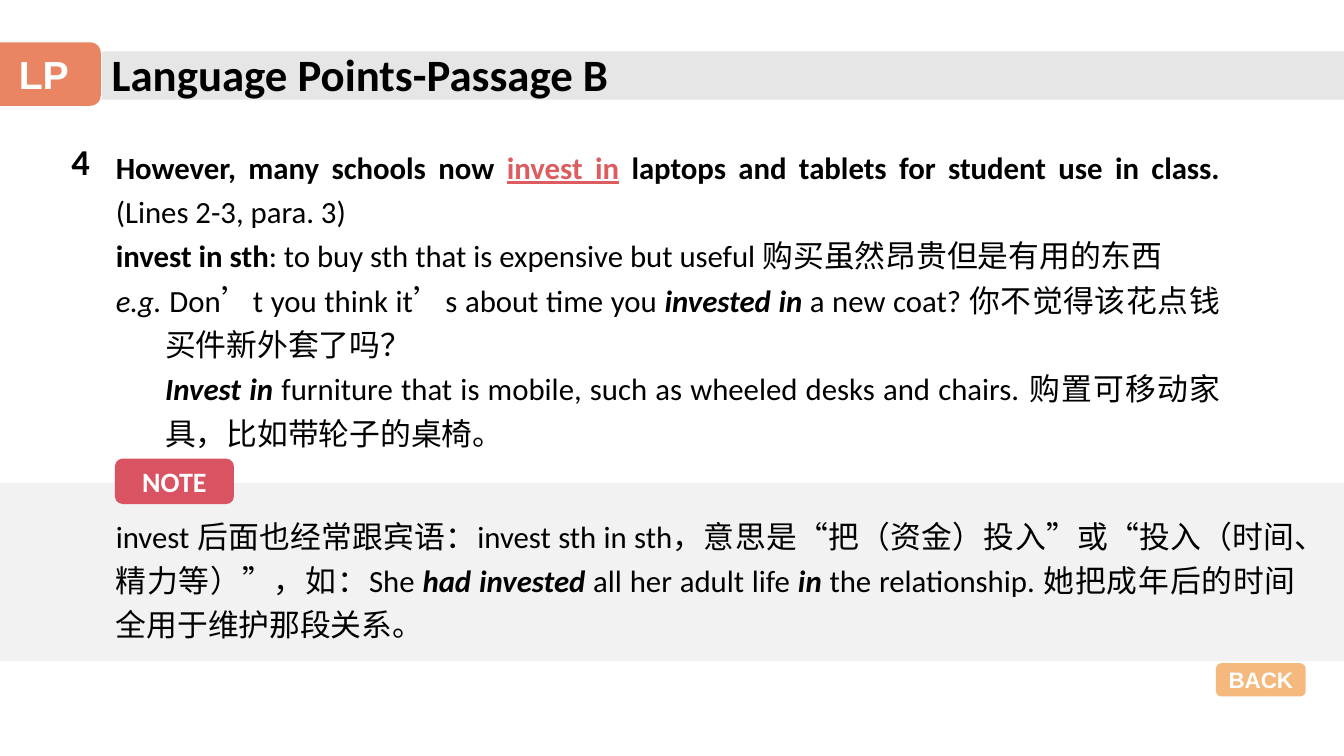
import pptx
import pptx.dml.color
import pptx.enum.shapes
import pptx.enum.text
import pptx.oxml
import pptx.oxml.ns
import pptx.util
from pptx.util import Inches

CJK_FONT = "Noto Sans CJK SC"
ALIGN = pptx.enum.text.PP_ALIGN
SHAPE = pptx.enum.shapes.MSO_SHAPE


def color(hex_string):
    return pptx.dml.color.RGBColor.from_string(hex_string)


def format_run(run, size, hex_string="000000", style="", font="Calibri"):
    run.font.name = font
    run.font.size = pptx.util.Pt(size)
    run.font.bold = "b" in style
    run.font.italic = "i" in style
    run.font.underline = "u" in style
    run.font.color.rgb = color(hex_string)
    east_asian = pptx.oxml.parse_xml(
        f'<a:ea {pptx.oxml.ns.nsdecls("a")} typeface="{CJK_FONT}"/>')
    run.font._element.find(pptx.oxml.ns.qn("a:latin")).addnext(east_asian)


presentation = pptx.Presentation()
presentation.slide_width = Inches(13.33)
presentation.slide_height = Inches(7.5)
slide = presentation.slides.add_slide(presentation.slide_layouts[6])

# Bands and labels: left, top, width, height, preset, fill, opacity, text, size, font
bands_and_labels = [
    (1.01, 0.51, 12.33, 0.48, SHAPE.RECTANGLE, "E7E6E6", 100, "", 0, ""),
    (-0.13, 0.42, 1.13, 0.63, SHAPE.ROUNDED_RECTANGLE, "E98562", 100, "LP", 28, "Arial"),
    (0, 4.79, 13.33, 1.77, SHAPE.RECTANGLE, "F2F2F2", 100, "", 0, ""),
    (1.14, 4.55, 1.18, 0.45, SHAPE.ROUNDED_RECTANGLE, "DA5362", 100, "NOTE", 20, "Calibri"),
    (12.06, 6.58, 0.89, 0.33, SHAPE.ROUNDED_RECTANGLE, "F19B48", 71, "BACK", 16, "Arial"),
]
for left, top, width, height, preset, fill, opacity, label, size, font in bands_and_labels:
    shape = slide.shapes.add_shape(
        preset, Inches(left), Inches(top), Inches(width), Inches(height))
    shape.shadow.inherit = False
    shape.line.fill.background()
    shape.fill.solid()
    shape.fill.fore_color.rgb = color(fill)
    if opacity < 100:
        alpha = pptx.oxml.parse_xml(
            f'<a:alpha {pptx.oxml.ns.nsdecls("a")} val="{opacity * 1000}"/>')
        shape._element.spPr.find(".//" + pptx.oxml.ns.qn("a:srgbClr")).append(alpha)
    if label:
        shape.text_frame.text = label
        shape.text_frame.vertical_anchor = pptx.enum.text.MSO_ANCHOR.MIDDLE
        paragraph = shape.text_frame.paragraphs[0]
        paragraph.alignment = ALIGN.CENTER
        format_run(paragraph.runs[0], size, "FFFFFF", "b", font)

# Title and item number
for left, top, width, height, text, size in [
    (1.01, 0.41, 5.27, 0.64, "Language Points-Passage B", 32),
    (0.61, 1.33, 0.63, 0.54, "4", 26),
]:
    box = slide.shapes.add_textbox(Inches(left), Inches(top), Inches(width), Inches(height))
    box.text_frame.word_wrap = True
    box.text_frame.text = text
    format_run(box.text_frame.paragraphs[0].runs[0], size, style="b")

# Explanation and note: paragraphs as (left margin, first-line indent, runs)
explanation = [
    (0, 0, [("However, many schools now ", "b"), ("invest in", "bu"),
            (" laptops and tablets for student use in class. ", "b"),
            ("(Lines 2-3, para. 3)", "")]),
    (0, 0, [("invest in sth", "b"),
            (": to buy sth that is expensive but useful ", ""),
            ("购买虽然昂贵但是有用的东西", "c")]),
    (0.49, -0.49, [("e.g.", "i"), (" Don’t you think it’s about time you ", ""),
                   ("invested in ", "bi"), ("a new coat? ", ""),
                   ("你不觉得该花点钱买件新外套了吗？", "c")]),
    (0.49, 0, [("Invest in ", "bi"),
               ("furniture that is mobile, such as wheeled desks and chairs. ", ""),
               ("购置可移动家具，比如带轮子的桌椅。", "c")]),
]
note = [
    (0, 0, [("invest 后面也经常跟宾语：invest sth in sth，意思是“把（资金）投入”或"
             "“投入（时间、精力等）”，如：She ", ""),
            ("had invested", "bi"), (" all her adult life ", ""), ("in", "bi"),
            (" the relationship. 她把成年后的时间全用于维护那段关系。", "")]),
]
for top, width, height, paragraphs in [(1.35, 11.15, 3.18, explanation),
                                       (5.01, 11.9, 1.4, note)]:
    box = slide.shapes.add_textbox(Inches(1.05), Inches(top), Inches(width), Inches(height))
    box.text_frame.word_wrap = True
    for index, (margin, indent, runs) in enumerate(paragraphs):
        paragraph = (box.text_frame.add_paragraph() if index
                     else box.text_frame.paragraphs[0])
        paragraph.alignment = ALIGN.JUSTIFY
        paragraph.line_spacing = 1.2
        properties = paragraph._p.get_or_add_pPr()
        properties.set("marL", str(Inches(margin)))
        properties.set("indent", str(Inches(indent)))
        for text, style in runs:
            run = paragraph.add_run()
            run.text = text
            format_run(run, 22, "DD5C60" if "u" in style else "000000", style,
                       CJK_FONT if "c" in style else "Calibri")

presentation.save("out.pptx")
